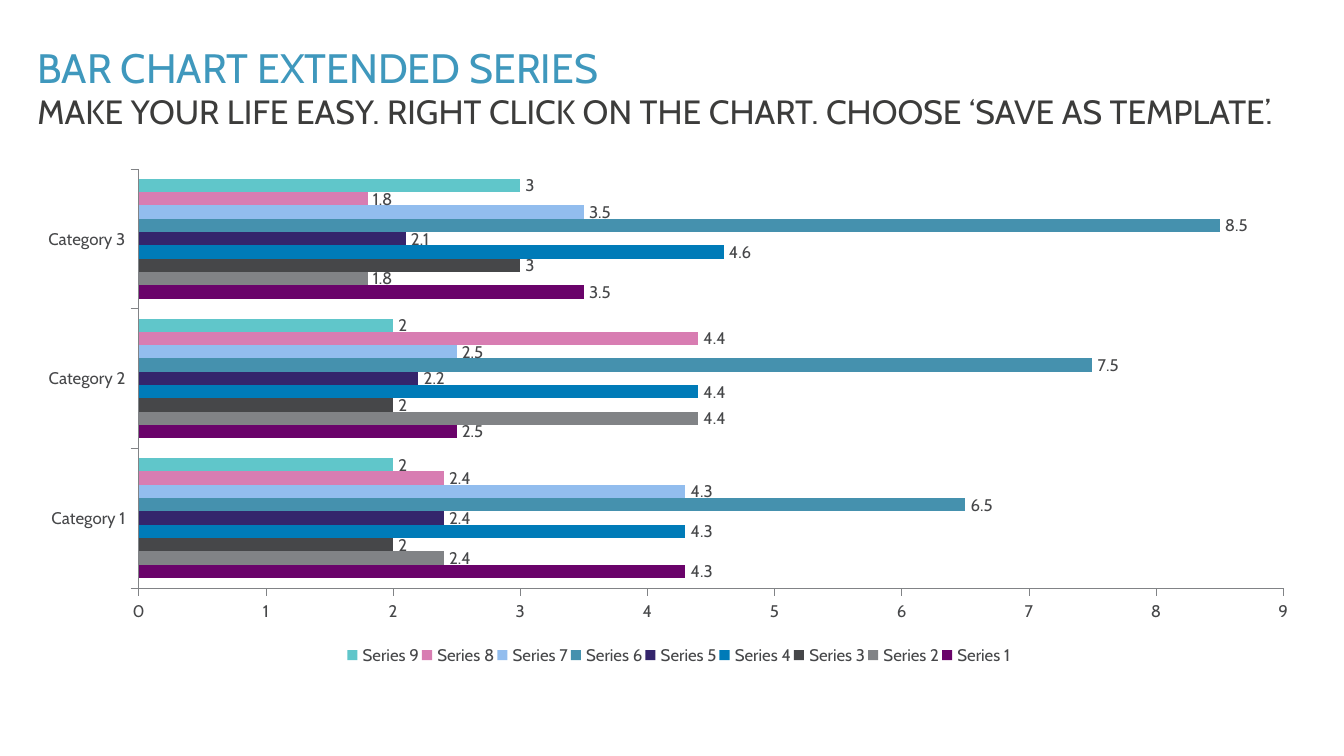
import pptx
import pptx.chart.data
import pptx.dml.color
import pptx.enum.chart
import pptx.enum.text
import pptx.oxml
import pptx.oxml.ns
import pptx.util
from pptx.util import Inches

FONT = "Cabin"


def rgb(hex_color):
    return pptx.dml.color.RGBColor.from_string(hex_color)


def manual_layout(x, y, w, h, target=""):
    return pptx.oxml.parse_xml(
        f'<c:layout {pptx.oxml.ns.nsdecls("c")}><c:manualLayout>{target}'
        '<c:xMode val="edge"/><c:yMode val="edge"/>'
        f'<c:x val="{x}"/><c:y val="{y}"/><c:w val="{w}"/><c:h val="{h}"/>'
        '</c:manualLayout></c:layout>')


# Widescreen 16:9 slide
prs = pptx.Presentation()
prs.slide_width = Inches(10)
prs.slide_height = Inches(10) * 9 // 16
slide = prs.slides.add_slide(prs.slide_layouts[6])

# Title and subtitle
TOP = pptx.enum.text.MSO_ANCHOR.TOP
BOTTOM = pptx.enum.text.MSO_ANCHOR.BOTTOM
headings = [
    ("BAR CHART EXTENDED SERIES", 0.26, 0.47, 22, "3F98BD", BOTTOM),
    ("MAKE YOUR LIFE EASY. RIGHT CLICK ON THE CHART. CHOOSE ‘SAVE AS TEMPLATE’.",
     0.63, 0.4, 18, "3C3C3B", TOP),
]
for words, top, height, size, color, anchor in headings:
    heading = slide.shapes.add_textbox(Inches(0.18), Inches(top), Inches(9.57), Inches(height))
    frame = heading.text_frame
    frame.text = words
    frame.word_wrap = True
    frame.vertical_anchor = anchor
    font = frame.paragraphs[0].runs[0].font
    font.name = FONT
    font.size = pptx.util.Pt(size)
    font.color.rgb = rgb(color)

# Chart data: values, bar colour, label number format
series_rows = [
    ((4.3, 2.5, 3.5), "6A036A", "General"),
    ((2.4, 4.4, 1.8), "818386", "#,##0.0"),
    ((2, 2, 3), "464749", "General"),
    ((4.3, 4.4, 4.6), "007BB8", "#,##0.0"),
    ((2.4, 2.2, 2.1), "34256C", "#,##0.0"),
    ((6.5, 7.5, 8.5), "4591AE", "General"),
    ((4.3, 2.5, 3.5), "92BDEE", "General"),
    ((2.4, 4.4, 1.8), "D87DB2", "General"),
    ((2, 2, 3), "60C6CA", "General"),
]
chart_data = pptx.chart.data.CategoryChartData()
chart_data.categories = ["Category 1", "Category 2", "Category 3"]
for number, (values, color, label_format) in enumerate(series_rows, 1):
    chart_data.add_series(f"Series {number}", values)

chart = slide.shapes.add_chart(
    pptx.enum.chart.XL_CHART_TYPE.BAR_CLUSTERED,
    Inches(0.17), Inches(1.18), Inches(9.57), Inches(3.85), chart_data).chart
chart.has_title = False
chart.font.name = FONT
chart.font.size = pptx.util.Pt(9)
chart.font.color.rgb = rgb("464749")

# Bars and value labels
bars = chart.plots[0]
bars.gap_width = 150
bars.overlap = 0
bars.vary_by_categories = False
for series, (values, color, label_format) in zip(bars.series, series_rows):
    series.format.fill.solid()
    series.format.fill.fore_color.rgb = rgb(color)
    labels = series.data_labels
    labels.show_value = True
    labels.position = pptx.enum.chart.XL_LABEL_POSITION.OUTSIDE_END
    labels.number_format = label_format
    labels.number_format_is_linked = False

# Axes
for axis in (chart.category_axis, chart.value_axis):
    axis.has_major_gridlines = False
    axis.major_tick_mark = pptx.enum.chart.XL_TICK_MARK.OUTSIDE
    axis.minor_tick_mark = pptx.enum.chart.XL_TICK_MARK.NONE
    axis.format.line.color.rgb = rgb("818386")
    axis.format.line.width = pptx.util.Pt(0.25)
chart.value_axis.minimum_scale = 0
chart.value_axis.maximum_scale = 9
chart.value_axis.major_unit = 1

# Legend
chart.has_legend = True
chart.legend.position = pptx.enum.chart.XL_LEGEND_POSITION.BOTTOM
chart.legend.include_in_layout = False

# Plot and legend positions, as fractions of the chart
plot_area = chart.element.find(".//" + pptx.oxml.ns.qn("c:plotArea"))
legend = chart.element.find(".//" + pptx.oxml.ns.qn("c:legend"))
for part in (plot_area, legend):
    for old_layout in part.findall(pptx.oxml.ns.qn("c:layout")):
        part.remove(old_layout)
plot_area.insert(0, manual_layout(0.09, 0.02, 0.89, 0.81, '<c:layoutTarget val="inner"/>'))
legend.find(pptx.oxml.ns.qn("c:legendPos")).addnext(manual_layout(0.25, 0.93, 0.52, 0.06))

prs.save("out.pptx")
